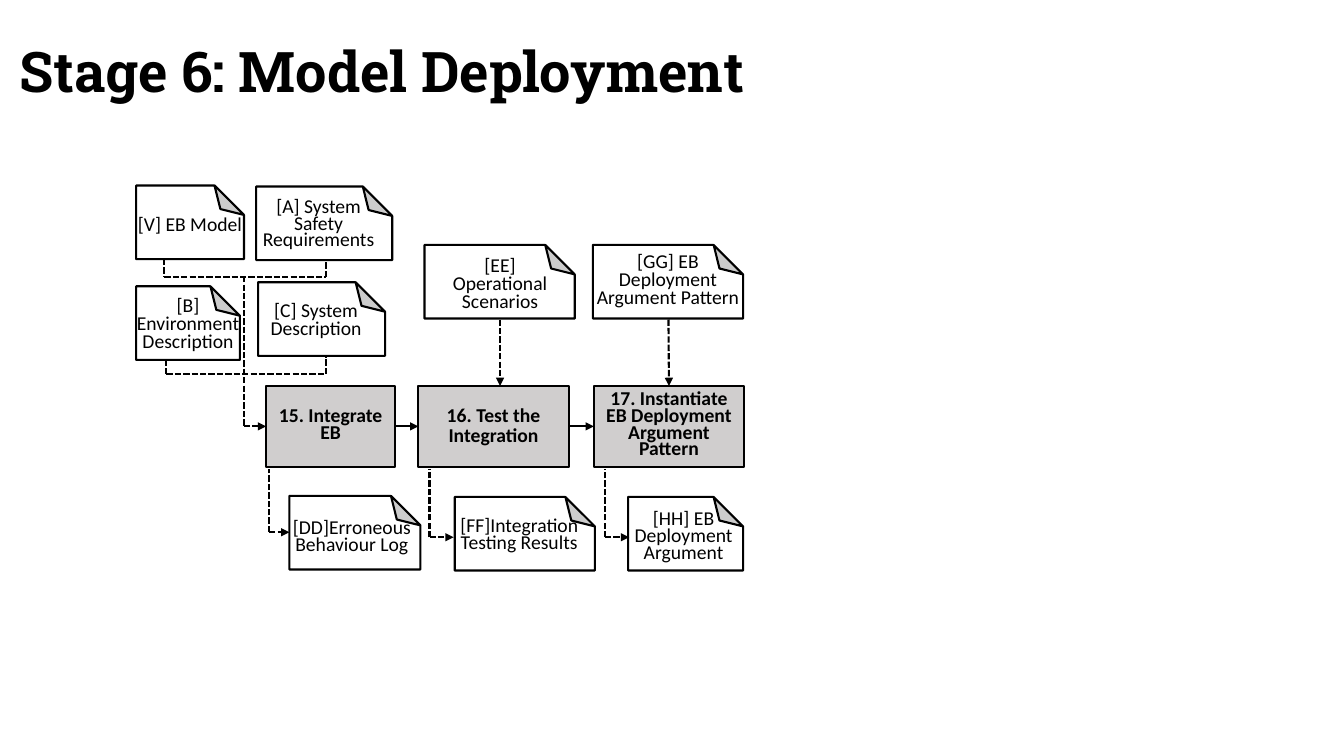
from itertools import pairwise

from lxml import etree
from pptx import Presentation
from pptx.dml.color import RGBColor
from pptx.enum.dml import MSO_LINE_DASH_STYLE as DASH
from pptx.enum.shapes import MSO_CONNECTOR, MSO_SHAPE
from pptx.enum.text import MSO_ANCHOR, MSO_AUTO_SIZE, PP_ALIGN
from pptx.oxml.ns import qn
from pptx.util import Inches, Pt

COLORS = {"ink": "000000", "paper": "FFFFFF", "step": "D0CECE"}
RGB = {name: RGBColor.from_string(value) for name, value in COLORS.items()}
DOC_HEIGHT = 0.73
STEP_TOP, STEP_HEIGHT = 3.83, 0.8
STEP_MIDDLE = STEP_TOP + STEP_HEIGHT / 2


def write_label(frame, text, spacing, bold=False):
    frame.word_wrap = True
    frame.text = text
    label = frame.paragraphs[0]
    label.alignment = PP_ALIGN.CENTER
    label.line_spacing = Pt(spacing)
    label.font.name = "Calibri"
    label.font.size = Pt(14)
    label.font.bold = bold
    label.font.color.rgb = RGB["ink"]


def draw_line(start, end, dashed=True, arrow=False):
    line = slide.shapes.add_connector(
        MSO_CONNECTOR.STRAIGHT, *[Inches(v) for v in (*start, *end)])
    line.line.color.rgb = RGB["ink"]
    line.line.width = Pt(1.5)
    if dashed:
        line.line.dash_style = DASH.SQUARE_DOT
    if arrow:
        outline = line._element.spPr.find(qn("a:ln"))
        etree.SubElement(outline, qn("a:tailEnd"), type="triangle")
    etree.SubElement(line._element.spPr, qn("a:effectLst"))
    return line


prs = Presentation()
prs.slide_width, prs.slide_height = Inches(13.33), Inches(7.5)
slide = prs.slides.add_slide(prs.slide_layouts[5])

title = slide.shapes.title
title.left, title.top, title.width, title.height = [
    Inches(v) for v in (0.09, 0.23, 12.82, 1.09)]
title.text_frame.text = "Stage 6: Model Deployment"
title.text_frame.auto_size = MSO_AUTO_SIZE.NONE
title.text_frame.vertical_anchor = MSO_ANCHOR.MIDDLE
heading = title.text_frame.paragraphs[0]
heading.alignment = PP_ALIGN.LEFT
heading.line_spacing = 0.7
heading.font.name = "Roboto Slab"
heading.font.size = Pt(40)
heading.font.bold = True
heading.font.color.rgb = RGB["ink"]

# Process steps: text, left, width, line spacing
steps = []
for text, left, width, spacing in [
    ("15. Integrate\vEB", 2.64, 1.28, 12),
    ("16. Test the Integration", 4.15, 1.49, 14),
    ("17. Instantiate EB Deployment Argument Pattern", 5.89, 1.49, 12),
]:
    step = slide.shapes.add_shape(
        MSO_SHAPE.RECTANGLE, Inches(left), Inches(STEP_TOP), Inches(width), Inches(STEP_HEIGHT))
    step.shadow.inherit = False
    step.fill.solid()
    step.fill.fore_color.rgb = RGB["step"]
    step.line.color.rgb = RGB["ink"]
    step.line.width = Pt(1.5)
    frame = step.text_frame
    frame.margin_left = frame.margin_right = Inches(0.08)
    frame.vertical_anchor = MSO_ANCHOR.MIDDLE
    write_label(frame, text, spacing, bold=True)
    steps.append(step)
integrate, test, instantiate = steps

# Documents: text, left, top, width, label box, line spacing
for text, left, top, width, label_box, spacing in [
    ("[V] EB Model", 1.35, 1.84, 1.07, (1.18, 2.11, 1.41, 0.29), 12.8),
    ("[A] System Safety Requirements", 2.54, 1.85, 1.35, (2.47, 1.94, 1.38, 0.62), 12),
    ("[B] Environment Description", 1.35, 2.84, 1.03, (1.16, 2.91, 1.41, 0.65), 12.8),
    ("[C] System Description", 2.56, 2.8, 1.26, (2.53, 2.96, 1.21, 0.47), 12.8),
    ("[EE] Operational Scenarios", 4.21, 2.43, 1.49, (4.35, 2.52, 1.22, 0.65), 12.8),
    ("[GG] EB Deployment Argument Pattern", 5.88, 2.43, 1.49, (5.73, 2.48, 1.79, 0.65), 12.8),
    ("[DD]Erroneous Behaviour Log", 2.87, 4.92, 1.3, (2.78, 5.13, 1.42, 0.45), 12),
    ("[FF]Integration Testing Results", 4.51, 4.93, 1.39, (4.46, 5.11, 1.38, 0.45), 12),
    ("[HH] EB Deployment Argument", 6.23, 4.93, 1.14, (6.07, 5.04, 1.42, 0.62), 12),
]:
    # The sheet is turned so that its folded corner is at the top right
    shift = (width - DOC_HEIGHT) / 2
    sheet = slide.shapes.add_shape(
        MSO_SHAPE.FOLDED_CORNER, Inches(left + shift), Inches(top - shift),
        Inches(DOC_HEIGHT), Inches(width))
    sheet.rotation = 270
    fold = sheet._element.spPr.find(qn("a:prstGeom")).find(qn("a:avLst"))
    etree.SubElement(fold, qn("a:gd"), name="adj", fmla="val 40000")
    sheet.shadow.inherit = False
    sheet.fill.solid()
    sheet.fill.fore_color.rgb = RGB["paper"]
    sheet.line.color.rgb = RGB["ink"]
    sheet.line.width = Pt(1.5)
    caption = slide.shapes.add_textbox(*[Inches(v) for v in label_box])
    write_label(caption.text_frame, text, spacing)

# Step to step
for before, after in pairwise(steps):
    flow = draw_line((0, 0), (1, 0), dashed=False, arrow=True)
    flow.begin_connect(before, 3)
    flow.end_connect(after, 1)

# Brackets that gather the inputs of step 15
for bracket in [
    [(1.63, 2.57), (1.63, 2.75), (3.23, 2.75), (3.23, 2.58)],
    [(1.65, 3.57), (1.65, 3.71), (3.23, 3.71), (3.23, 3.54)],
]:
    for start, end in pairwise(bracket):
        draw_line(start, end)

# Inputs
draw_line((2.42, 2.74), (2.42, STEP_MIDDLE))
draw_line((2.42, STEP_MIDDLE), (2.64, STEP_MIDDLE), arrow=True).end_connect(integrate, 1)
draw_line((4.96, 3.17), (4.96, STEP_TOP), arrow=True)
draw_line((6.63, 3.17), (6.63, STEP_TOP), arrow=True).end_connect(instantiate, 0)

# Outputs: x of the drop, y of the turn, left side of the document
for drop, turn, document in [(2.67, 5.28, 2.87), (4.26, 5.33, 4.5), (6, 5.33, 6.24)]:
    draw_line((drop, turn), (drop, 4.65))
    draw_line((drop, turn), (document, turn), arrow=True)

prs.save("out.pptx")
